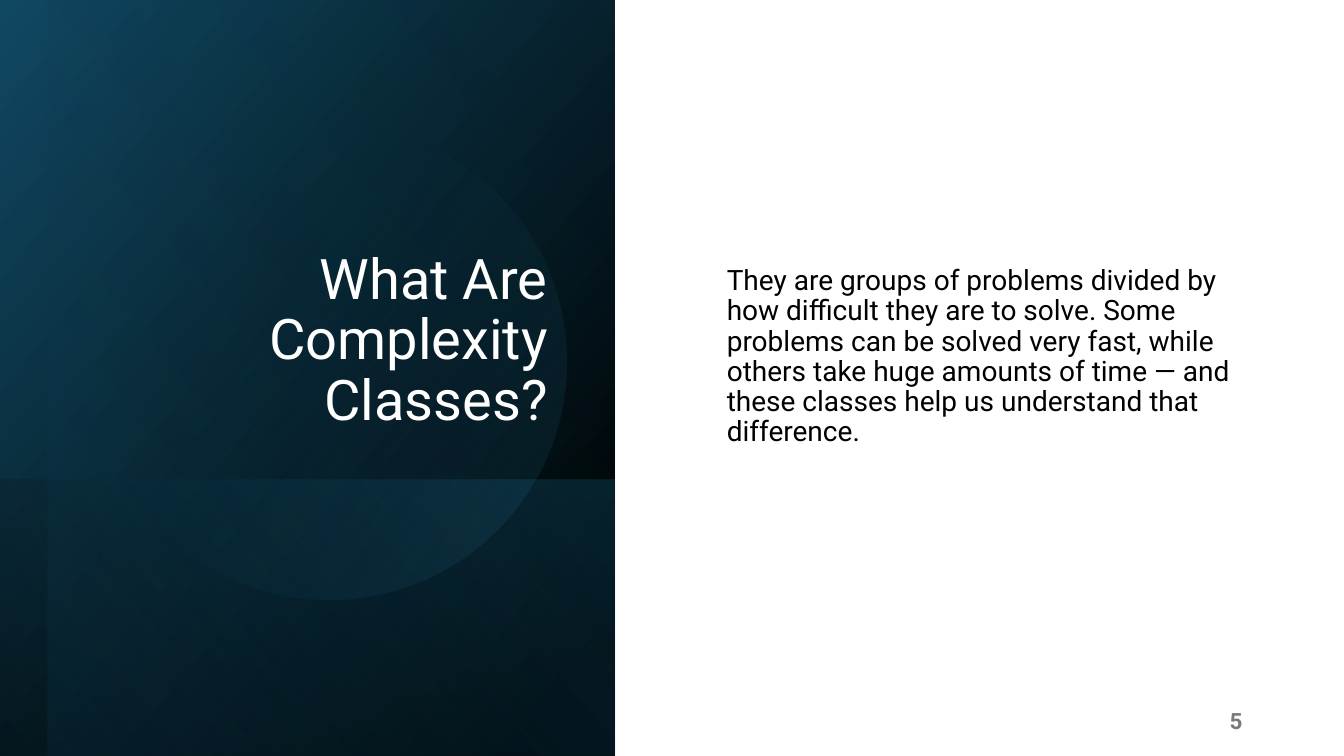
from dataclasses import dataclass

import lxml.etree
import pptx
import pptx.dml.color
import pptx.enum.shapes
import pptx.enum.text
import pptx.oxml.ns
import pptx.slide
import pptx.util

Inches = pptx.util.Inches
RGBColor = pptx.dml.color.RGBColor
Shape = pptx.enum.shapes.MSO_SHAPE
Align = pptx.enum.text.PP_ALIGN
Anchor = pptx.enum.text.MSO_ANCHOR
qn = pptx.oxml.ns.qn


@dataclass(frozen=True)
class Theme:
    font: str = "Roboto"
    black: str = "000000"
    white: str = "FFFFFF"
    gray: str = "797979"
    navy: str = "104862"
    teal: str = "156082"
    sky: str = "46B1E1"
    title_size: int = 40
    body_size: int = 20
    number_size: int = 16


THEME = Theme()


@dataclass(frozen=True)
class Stop:
    position: float
    color: str
    opacity: int = 100


@dataclass(frozen=True)
class Glow:
    box: tuple[float, float, float, float]
    start: Stop
    end: Stop
    angle: float  # clockwise, before the shape is turned
    rotation: float = 90
    preset: Shape = Shape.RECTANGLE
    flipped: bool = True


@dataclass(frozen=True)
class Caption:
    box: tuple[float, float, float, float]
    text: str
    size: int
    color: str
    anchor: Anchor
    align: Align = Align.LEFT
    line_spacing: float = 0.9
    bold: bool = False
    bottom_inset: float = 0.05


# Layers of the dark panel, back to front
GLOWS = [
    Glow((-0.7, 0.7, 7.5, 6.1), Stop(0.08, THEME.black), Stop(1, THEME.navy), 50),
    Glow((1.67, 3.08, 2.74, 6.1), Stop(0.02, THEME.teal, 29),
         Stop(1, THEME.black, 30), 130),
    Glow((-0.46, 0.93, 7.5, 5.63), Stop(0, THEME.black, 0),
         Stop(0.99, THEME.teal, 11), 130),
    Glow((0.9, 1.23, 4.72, 4.72), Stop(0.39, THEME.teal, 0),
         Stop(1, THEME.sky, 15), 290, 101.6, Shape.OVAL, False),
]

# Title, explanation and slide number
CAPTIONS = [
    Caption((0.9, 0.64, 4.63, 3.7), "What Are Complexity Classes?",
            THEME.title_size, THEME.white, Anchor.BOTTOM, Align.RIGHT),
    Caption((7.11, 0.71, 5.32, 6.07),
            "They are groups of problems divided by how difficult they are to solve. "
            "Some problems can be solved very fast, while others take huge amounts of "
            "time — and these classes help us understand that difference.",
            THEME.body_size, THEME.black, Anchor.MIDDLE, bottom_inset=0.45),
    Caption((9.42, 6.95, 3, 0.4), "5", THEME.number_size, THEME.gray,
            Anchor.MIDDLE, Align.RIGHT, line_spacing=1, bold=True),
]


def draw_glow(slide: pptx.slide.Slide, glow: Glow) -> None:
    layer = slide.shapes.add_shape(glow.preset, *map(Inches, glow.box))
    layer.shadow.inherit = False
    layer.line.fill.background()
    layer.rotation = glow.rotation
    layer.fill.gradient()
    layer.fill.gradient_angle = 360 - glow.angle
    for gradient_stop, stop in zip(layer.fill.gradient_stops, (glow.start, glow.end)):
        gradient_stop.position = stop.position
        gradient_stop.color.rgb = RGBColor.from_string(stop.color)

    # Opacity and mirroring
    properties = layer._element.spPr
    colors = properties.findall(".//" + qn("a:srgbClr"))
    for color, stop in zip(colors, (glow.start, glow.end)):
        if stop.opacity < 100:
            alpha = lxml.etree.SubElement(color, qn("a:alpha"))
            alpha.set("val", str(stop.opacity * 1000))
    if glow.flipped:
        properties.find(qn("a:xfrm")).set("flipH", "1")


def draw_caption(slide: pptx.slide.Slide, caption: Caption) -> None:
    frame = slide.shapes.add_textbox(*map(Inches, caption.box)).text_frame
    frame.word_wrap = True
    frame.vertical_anchor = caption.anchor
    frame.margin_bottom = Inches(caption.bottom_inset)
    paragraph = frame.paragraphs[0]
    paragraph.text = caption.text
    paragraph.alignment = caption.align
    paragraph.line_spacing = caption.line_spacing
    paragraph.font.name = THEME.font
    paragraph.font.size = pptx.util.Pt(caption.size)
    paragraph.font.bold = caption.bold
    paragraph.font.color.rgb = RGBColor.from_string(caption.color)


def main() -> None:
    presentation = pptx.Presentation()
    presentation.slide_width = Inches(13.33)
    presentation.slide_height = Inches(7.5)
    slide = presentation.slides.add_slide(presentation.slide_layouts[6])
    for glow in GLOWS:
        draw_glow(slide, glow)
    for caption in CAPTIONS:
        draw_caption(slide, caption)
    presentation.save("out.pptx")


if __name__ == "__main__":
    main()
